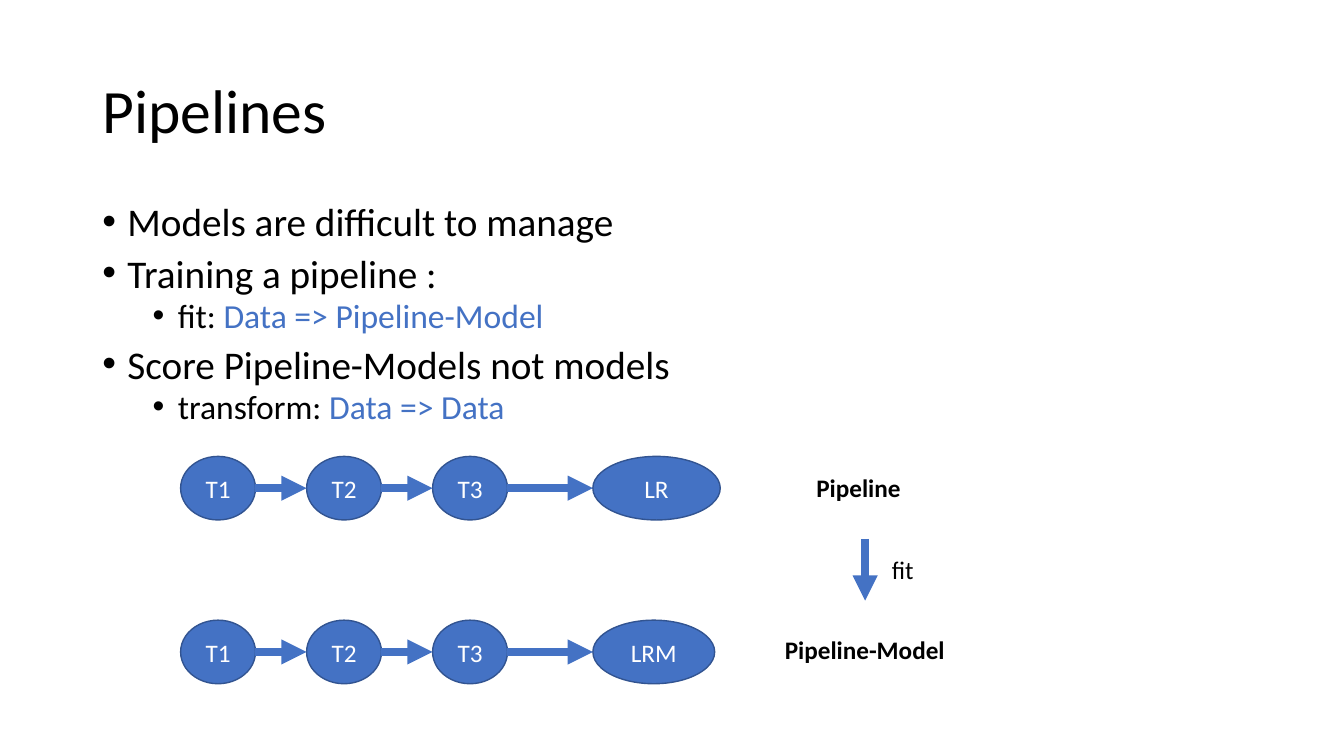
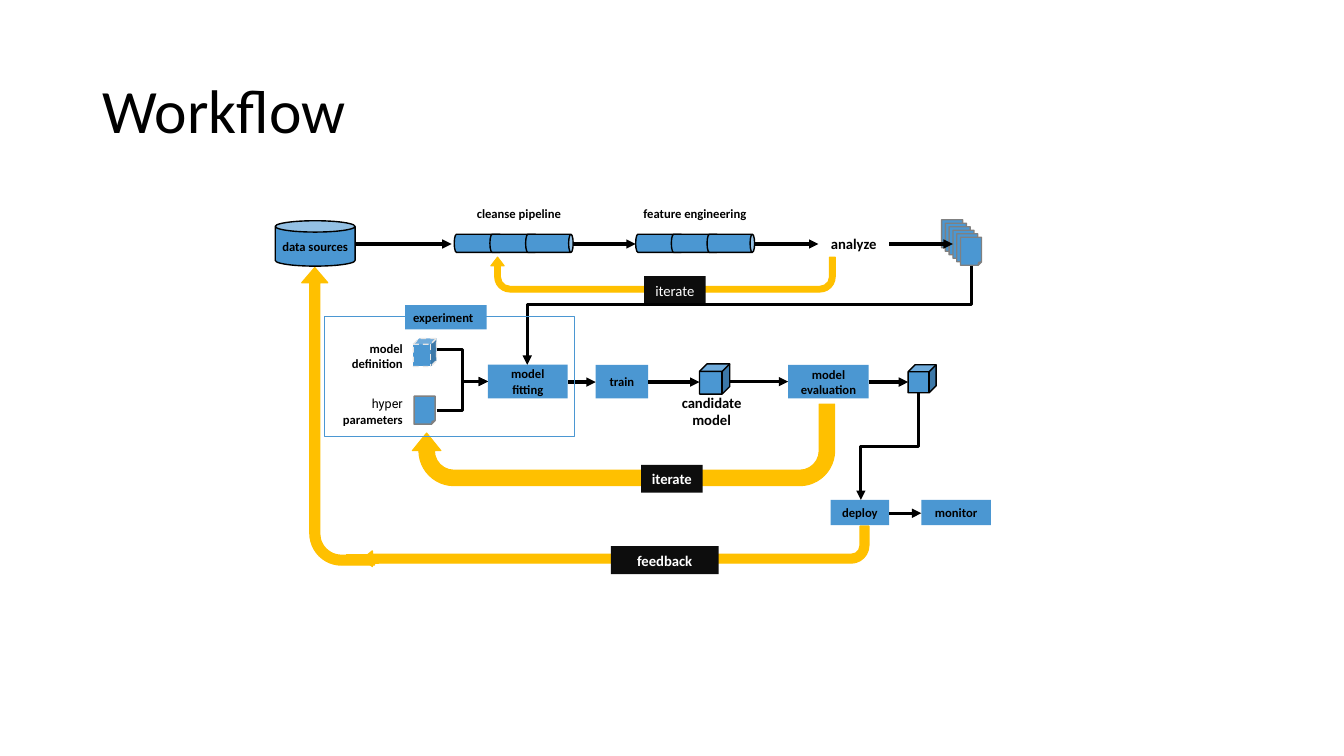
from dataclasses import dataclass

from pptx import Presentation
from pptx.dml.color import RGBColor
from pptx.enum.dml import MSO_LINE
from pptx.enum.shapes import MSO_CONNECTOR, MSO_SHAPE
from pptx.enum.text import MSO_ANCHOR, PP_ALIGN
from pptx.oxml.ns import qn
from pptx.oxml.xmlchemy import OxmlElement
from pptx.util import Pt


@dataclass(frozen=True)
class Theme:
    font: str = "Calibri"
    alt_font: str = "Roboto"
    black: str = "000000"
    white: str = "FFFFFF"
    accent: str = "4472C4"
    accent_edge: str = "325491"
    step: str = "4B97D2"
    loop: str = "FFC000"
    tag: str = "0D0D0D"
    file_edge: str = "808080"
    draft_edge: str = "E7E6E6"
    title: float = 44
    levels: tuple = (28, 24)
    diagram: float = 18
    note: float = 10.5
    small: float = 9


@dataclass(frozen=True)
class Box:
    x: float
    y: float
    w: float
    h: float

    def inner(self, dx, dy, w, h):
        return Box(self.x + dx, self.y + dy, w, h)

    def point(self, dx, dy):
        return self.x + dx, self.y + dy

    def lengths(self):
        return Pt(self.x), Pt(self.y), Pt(self.w), Pt(self.h)


T = Theme()
SLIDE_W, SLIDE_H = 960, 540
TITLE = Box(66, 29, 828, 104)
NARROW = (5, 3, 5, 3)
WIDE = (7.2, 3.6, 7.2, 3.6)


def rgb(color):
    return RGBColor.from_string(color)


def style(run, size, color=T.black, bold=False, font=T.font):
    run.font.name, run.font.size, run.font.bold = font, Pt(size), bold
    run.font.color.rgb = rgb(color)


def write(sp, text, size, color=T.black, bold=True, align=PP_ALIGN.CENTER,
          anchor=MSO_ANCHOR.MIDDLE, insets=NARROW, wrap=True):
    tf = sp.text_frame
    tf.text = text
    tf.word_wrap, tf.vertical_anchor = wrap, anchor
    tf.margin_left, tf.margin_top, tf.margin_right, tf.margin_bottom = map(Pt, insets)
    for p in tf.paragraphs:
        p.alignment = align
        for r in p.runs:
            style(r, size, color, bold)


def label(slide, box, text, size, **options):
    sp = slide.shapes.add_textbox(*box.lengths())
    write(sp, text, size, **options)
    return sp


def shape(slide, kind, box, fill=None, line=None, width=1, rotation=0, adjust=()):
    """Add a preset shape whose outline covers box after its rotation."""
    if rotation in (90, 270):
        box = box.inner((box.w - box.h) / 2, (box.h - box.w) / 2, box.h, box.w)
    sp = slide.shapes.add_shape(kind, *box.lengths())
    sp.shadow.inherit = False
    sp.rotation = rotation
    for i, value in enumerate(adjust):
        sp.adjustments[i] = value
    if fill:
        sp.fill.solid()
        sp.fill.fore_color.rgb = rgb(fill)
    else:
        sp.fill.background()
    if line:
        sp.line.color.rgb = rgb(line)
        sp.line.width = Pt(width)
    else:
        sp.line.fill.background()
    return sp


def arrow(slide, start, end, color=T.black, width=2.25, kind=MSO_CONNECTOR.STRAIGHT):
    c = slide.shapes.add_connector(kind, *map(Pt, (*start, *end)))
    c.line.color.rgb = rgb(color)
    c.line.width = Pt(width)
    tail = OxmlElement("a:tailEnd")
    tail.set("type", "triangle")
    sp_pr = c._element.spPr
    sp_pr.find(qn("a:ln")).append(tail)
    sp_pr.append(OxmlElement("a:effectLst"))
    return c


def elbow(slide, start, end):
    return arrow(slide, start, end, kind=MSO_CONNECTOR.ELBOW)


def drop_elbow(slide, start, end, bend=0.5):
    """Go down from start, left, then down to end; bend is the share of the drop."""
    (x1, y1), (x2, y2) = start, end
    cx, cy = (x1 + x2) / 2, (y1 + y2) / 2
    half_w, half_h = (y2 - y1) / 2, (x1 - x2) / 2
    c = elbow(slide, (cx - half_w, cy - half_h), (cx + half_w, cy + half_h))
    sp_pr = c._element.spPr
    sp_pr.find(qn("a:xfrm")).set("rot", "5400000")
    guide = OxmlElement("a:gd")
    guide.set("name", "adj1")
    guide.set("fmla", f"val {round(bend * 100000)}")
    sp_pr.find(qn("a:prstGeom")).get_or_add_avLst().append(guide)


def titled_slide(prs, text):
    slide = prs.slides.add_slide(prs.slide_layouts[5])
    sp = slide.shapes.title
    sp.left, sp.top, sp.width, sp.height = TITLE.lengths()
    write(sp, text, T.title, bold=False, align=PP_ALIGN.LEFT, insets=WIDE)
    sp.text_frame.paragraphs[0].line_spacing = 0.9
    return slide


def bullets(slide, box, items):
    """Each item is a level, black text and accent text."""
    tf = slide.shapes.add_textbox(*box.lengths()).text_frame
    tf.word_wrap = True
    for i, (level, text, signature) in enumerate(items):
        p = tf.paragraphs[0] if i == 0 else tf.add_paragraph()
        p.level = level
        p.line_spacing = 0.8
        p.space_before = Pt((10, 5)[level] if i else 0)
        p_pr = p._p.get_or_add_pPr()
        p_pr.set("marL", str(Pt(18 + 36 * level)))
        p_pr.set("indent", str(Pt(-18)))
        for tag, key, value in (("a:buFont", "typeface", "Arial"), ("a:buChar", "char", "•")):
            el = OxmlElement(tag)
            el.set(key, value)
            p_pr.append(el)
        for words, color in ((text, T.black), (signature, T.accent)):
            if words:
                r = p.add_run()
                r.text = words
                style(r, T.levels[level], color)


def chain(slide, box, last, last_width):
    """Draw three transformers leading to a last stage."""
    stages = [("T1", 0, 53.5), ("T2", 90, 53.5), ("T3", 180, 53.5), (last, 294.5, last_width)]
    for text, dx, w in stages:
        sp = shape(slide, MSO_SHAPE.OVAL, box.inner(dx, 0, w, box.h), T.accent, T.accent_edge)
        write(sp, text, T.diagram, T.white, bold=False)
    for (_, dx, w), (_, next_dx, _) in zip(stages, stages[1:]):
        arrow(slide, box.point(dx + w, box.h / 2), box.point(next_dx, box.h / 2), T.accent, 6)


def fit_legend(slide, box):
    for dx, dy, w, text, bold in ((22.5, 0, 75, "Pipeline", True),
                                  (0, 115.5, 130, "Pipeline-Model", True),
                                  (76.5, 58.5, 30, "fit", False)):
        label(slide, box.inner(dx, dy, w, 29), text, T.diagram, bold=bold, insets=WIDE,
              align=PP_ALIGN.LEFT, anchor=MSO_ANCHOR.TOP, wrap=False)
    arrow(slide, box.point(64.5, 51), box.point(64.5, 95), T.accent, 6)


def step(slide, box, text):
    write(shape(slide, MSO_SHAPE.RECTANGLE, box, T.step), text, T.small)


def loop_tag(slide, box, text, bold=True):
    sp = shape(slide, MSO_SHAPE.RECTANGLE, box, T.tag)
    write(sp, text, T.note, T.white, bold=bold, insets=(3, 3, 3, 3))


def return_loop(slide, box, adjust):
    shape(slide, MSO_SHAPE.U_TURN_ARROW, box, T.loop, T.loop, 0.75, 180, adjust)


def model_cube(slide, box, edge=T.black):
    return shape(slide, MSO_SHAPE.CUBE, box, T.step, edge)


def file_icon(slide, box):
    shape(slide, MSO_SHAPE.FOLDED_CORNER, box, T.step, T.file_edge)


def pipe(slide, box):
    for i in range(3):
        shape(slide, MSO_SHAPE.CAN, box.inner(25.5 * i, 0, 34, box.h), T.step, T.black, rotation=90)


def preparation(slide, box):
    sp = shape(slide, MSO_SHAPE.CAN, box.inner(0, 14.4, 57, 32.4), T.step, T.black)
    write(sp, "data sources", T.small)
    for dx, w, text in ((126, 96, "cleanse pipeline"), (246, 107.5, "feature engineering")):
        label(slide, box.inner(dx, 0, w, 18), text, T.small, insets=WIDE, anchor=MSO_ANCHOR.TOP)
    for dx in (127.8, 257.4):
        pipe(slide, box.inner(dx, 24, 85, 13))
    label(slide, box.inner(388, 23, 50.4, 15.8), "analyze", T.note)
    for i in range(6):
        file_icon(slide, box.inner(476 + 2.7 * i, 13.7 + 2.5 * i, 15, 20))
    for start, end in ((57, 126), (213, 257.5), (342, 388), (438.5, 484)):
        arrow(slide, box.point(start, 31), box.point(end, 31))
    return_loop(slide, box.inner(154, 40.3, 246, 25), (0.165, 0.19, 0.25, 0.438, 1))
    loop_tag(slide, box.inner(263.5, 54, 44, 20), "iterate", bold=False)


def experiment(slide, box):
    model_cube(slide, box.inner(63.4, 15.8, 16.6, 20), T.draft_edge).line.dash_style = MSO_LINE.DASH
    file_icon(slide, box.inner(64, 57, 15, 20))
    inputs = {"align": PP_ALIGN.RIGHT, "anchor": MSO_ANCHOR.TOP, "insets": WIDE}
    label(slide, box.inner(-0.5, 13.7, 63.4, 29), "model definition", T.small, **inputs)
    sp = label(slide, box.inner(-0.5, 53.5, 63.4, 29), "hyper\nparameters", T.small, **inputs)
    style(sp.text_frame.paragraphs[0].runs[0], T.small, font=T.alt_font)
    step(slide, box.inner(116.7, 34.5, 57, 24), "model fitting")
    for dy in (23.7, 67):
        elbow(slide, box.point(80, dy), box.point(116.7, 46.5))
    shape(slide, MSO_SHAPE.RECTANGLE, box, line=T.step)
    sp = shape(slide, MSO_SHAPE.RECTANGLE, box.inner(57.6, -8, 58.3, 17.3), T.step)
    write(sp, "experiment", T.small, insets=(1, 3, 5, 3))


def evaluation(slide, box):
    for dx, dy, w, h, text in ((0, 0, 37.4, 24, "train"),
                               (137.5, 0, 57.6, 24, "model evaluation"),
                               (167.8, 96.5, 41.8, 18, "deploy"),
                               (232.6, 96.5, 49.7, 18, "monitor")):
        step(slide, box.inner(dx, dy, w, h), text)
    model_cube(slide, box.inner(74.2, -0.7, 21.6, 21.6))
    model_cube(slide, box.inner(223.2, 0, 20, 20))
    label(slide, box.inner(52.6, 21, 60.5, 24), "candidate model", T.note)
    for start, end, dy in ((-20, 0, 12.3), (37.4, 74.2, 12.3), (95.5, 137.5, 12),
                           (195, 223.2, 12.3), (209.6, 232.6, 106)):
        arrow(slide, box.point(start, dy), box.point(end, dy))
    drop_elbow(slide, box.point(230.4, 20), box.point(189.4, 96.5))
    return_loop(slide, box.inner(-131, 28, 301.7, 58.3), (0.19, 0.175, 0.216, 0.438, 0.646))
    loop_tag(slide, box.inner(32.4, 71.4, 44, 20), "iterate")


def feedback(slide, box):
    """Draw the long return from deployment up to the data sources."""
    shape(slide, MSO_SHAPE.BENT_ARROW, box.inner(43.6, 184.6, 361.4, 28.8), T.loop, T.loop,
          rotation=180, adjust=(0.216, 0.192, 0.234, 0.438))
    shape(slide, MSO_SHAPE.BENT_ARROW, box.inner(0, 0, 51.8, 212.4), T.loop, T.loop,
          rotation=270, adjust=(0.134, 0.178, 0.207, 0.438))
    shape(slide, MSO_SHAPE.RECTANGLE, box.inner(32, 204.8, 22.3, 6.5), T.loop, T.loop)
    loop_tag(slide, box.inner(220.7, 199, 77, 20), "feedback")


def pipelines_slide(prs):
    slide = titled_slide(prs, "Pipelines")
    bullets(slide, Box(66, 144, 828, 168), [
        (0, "Models are difficult to manage", ""),
        (0, "Training a pipeline :", ""),
        (1, "fit: ", "Data => Pipeline-Model"),
        (0, "Score Pipeline-Models not models", ""),
        (1, "transform: ", "Data => Data"),
    ])
    chain(slide, Box(129, 326, 385, 45.4), "LR", 91)
    chain(slide, Box(129, 443, 385, 45.4), "LRM", 87)
    fit_legend(slide, Box(553.5, 334, 130, 145))


def workflow_slide(prs):
    slide = titled_slide(prs, "Workflow")
    feedback(slide, Box(215.6, 191.2, 405, 219))
    preparation(slide, Box(196.6, 143.3, 505, 74))
    drop_elbow(slide, (694, 190), (376.6, 260.6), 0.386)
    evaluation(slide, Box(425.5, 260.6, 282.5, 115))
    experiment(slide, Box(231.8, 226, 178.6, 85.7))


def main():
    prs = Presentation()
    prs.slide_width, prs.slide_height = Pt(SLIDE_W), Pt(SLIDE_H)
    pipelines_slide(prs)
    workflow_slide(prs)
    prs.save("out.pptx")


if __name__ == "__main__":
    main()
